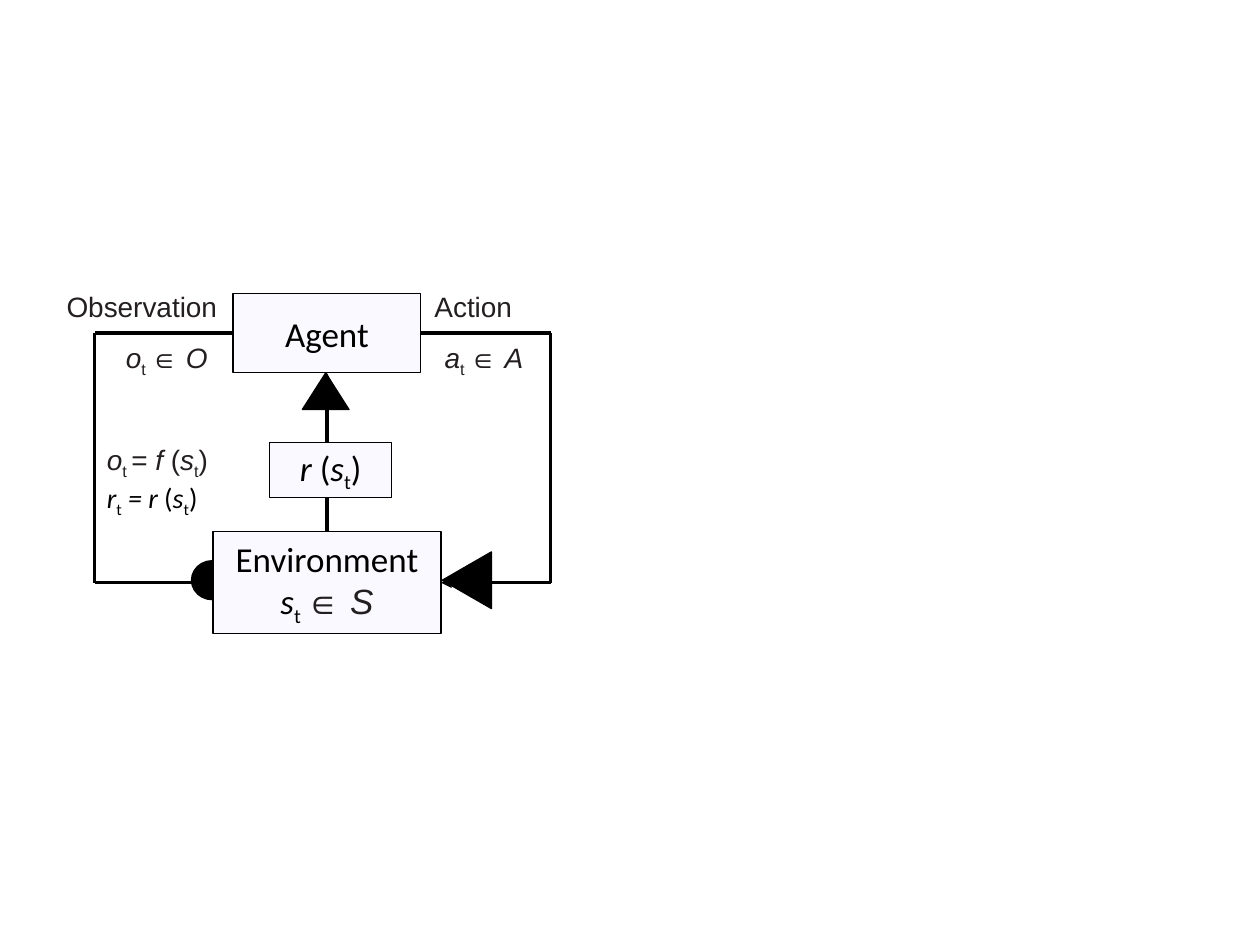
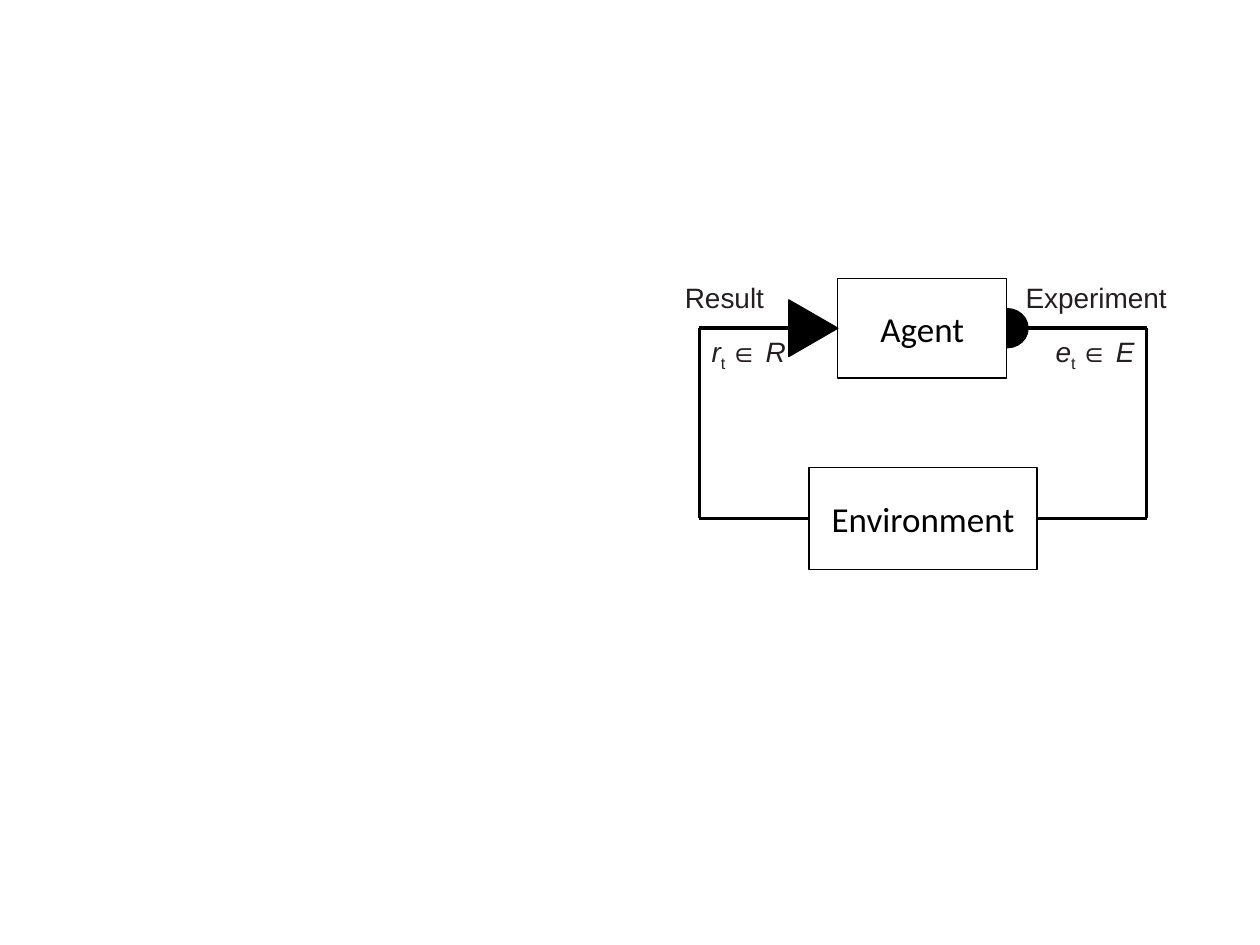
import pptx
import pptx.dml.color
import pptx.enum.dml
import pptx.enum.shapes
import pptx.enum.text
import pptx.oxml.ns
import pptx.util
from dataclasses import dataclass


@dataclass(frozen=True)
class Theme:
    black: str = "000000"
    ink: str = "231F20"
    pale: str = "F9F9FF"
    white: str = "FFFFFF"
    sans: str = "Arial"
    body: str = "Calibri"
    big: int = 20
    small: int = 16
    thin: float = 0.75
    thick: float = 2


THEME = Theme()
SHAPE = pptx.enum.shapes.MSO_SHAPE
ALIGN = pptx.enum.text.PP_ALIGN
TOP, LEFT, BASE, RIGHT = range(4)
INK = {"font": THEME.sans, "color": THEME.ink}
BODY = {"font": THEME.body, "color": THEME.black}
IT = {"italic": True}
SUB = {"sub": True}


def member(name, group):
    return [(name, IT), ("t ", SUB), ("∈ ", {}), (group, IT)]


STATE = [("(", {}), ("s", IT), ("t", SUB), (")", {})]
RULES = [
    [("o", IT), ("t ", SUB), ("= ", {}), ("f ", IT)] + STATE,
    [(text, {**BODY, **look}) for text, look in
     [("r", IT), ("t", SUB), (" = r ", IT)] + STATE],
]
SPACE = [("s", IT), ("t ", SUB), ("∈ ", INK), ("S", {**INK, **IT})]

SLIDES = [
    {
        "fill": THEME.pale,
        "boxes": {
            "agent": ((1.85, 2.33, 1.49, 0.63), [[("Agent", {})]]),
            "world": ((1.69, 4.22, 1.81, 0.81), [[("Environment", {})], SPACE]),
            "reward": ((2.14, 3.51, 0.97, 0.44), [[("r ", IT)] + STATE]),
        },
        "sides": (0.75, 4.37),
        "heads": {("world", LEFT): "oval", ("world", RIGHT): "triangle"},
        "direct": True,
        "disc": (1.52, 4.45),
        "labels": [
            ((0.43, 2.25, 1.41, 0.37), [[("Observation", {})]], ALIGN.LEFT),
            ((3.35, 2.25, 0.83, 0.37), [[("Action", {})]], ALIGN.LEFT),
            ((0.9, 2.65, 0.9, 0.37), [member("o", "O")], ALIGN.LEFT),
            ((3.43, 2.65, 0.87, 0.37), [member("a", "A")], ALIGN.LEFT),
            ((0.75, 3.46, 1.07, 0.91), RULES, ALIGN.LEFT),
        ],
        "tips": [((3.48, 4.41, 0.45, 0.39), 270), ((2.4, 2.96, 0.37, 0.29), 0)],
    },
    {
        "fill": THEME.white,
        "boxes": {
            "agent": ((6.65, 2.21, 1.34, 0.79), [[("Agent", {})]]),
            "world": ((6.42, 3.71, 1.81, 0.81), [[("Environment", {})]]),
        },
        "sides": (5.55, 9.1),
        "heads": {("agent", LEFT): "triangle", ("agent", RIGHT): "oval"},
        "direct": False,
        "disc": (7.83, 2.45),
        "labels": [
            ((8.03, 2.18, 1.34, 0.37), [[("Experiment", {})]], ALIGN.CENTER),
            ((5.33, 2.18, 0.84, 0.37), [[("Result", {})]], ALIGN.CENTER),
            ((5.55, 2.61, 0.84, 0.37), [member("r", "R")], ALIGN.LEFT),
            ((8.28, 2.61, 0.88, 0.37), [member("e", "E")], ALIGN.LEFT),
        ],
        "tips": [((6.23, 2.41, 0.45, 0.39), 90)],
    },
]


def inch(values):
    return [pptx.util.Inches(value) for value in values]


def rgb(code):
    return pptx.dml.color.RGBColor.from_string(code)


def write(frame, lines, size, font, color, align):
    for count, line in enumerate(lines):
        para = frame.add_paragraph() if count else frame.paragraphs[0]
        para.alignment = align
        for text, look in line:
            run = para.add_run()
            run.text = text
            run.font.size = pptx.util.Pt(size)
            run.font.name = look.get("font", font)
            run.font.color.rgb = rgb(look.get("color", color))
            run.font.italic = look.get("italic", False)
            if look.get("sub"):
                run._r.get_or_add_rPr().set("baseline", "-25000")


def draw(slide, kind, area, fill, turn=0):
    shape = slide.shapes.add_shape(kind, *inch(area))
    shape.shadow.inherit = False
    shape.rotation = turn
    shape.fill.solid()
    shape.fill.fore_color.rgb = rgb(fill)
    shape.line.color.rgb = rgb(THEME.black)
    shape.line.width = pptx.util.Pt(THEME.thin)
    return shape


def wire(slide, start, end, head=None):
    kind = pptx.enum.shapes.MSO_CONNECTOR.STRAIGHT
    line = slide.shapes.add_connector(kind, *inch(start + end))
    line.line.color.rgb = rgb(THEME.black)
    line.line.width = pptx.util.Pt(THEME.thick)
    props = line._element.spPr
    if head:
        stroke = props.find(pptx.oxml.ns.qn("a:ln"))
        mark = pptx.oxml.parse_xml(
            "<a:headEnd %s type='%s'/>" % (pptx.oxml.ns.nsdecls("a"), head))
        stroke.append(mark)
    props.append(pptx.oxml.parse_xml(
        "<a:effectLst %s/>" % pptx.oxml.ns.nsdecls("a")))
    return line


def port(area, side):
    left, top, wide, high = area
    return {
        TOP: (left + wide / 2, top),
        LEFT: (left, top + high / 2),
        BASE: (left + wide / 2, top + high),
        RIGHT: (left + wide, top + high / 2),
    }[side]


def build(slide, plan):
    areas = {name: area for name, (area, _) in plan["boxes"].items()}
    heads = plan["heads"]
    joins = []
    draw(slide, SHAPE.OVAL, plan["disc"] + (0.33, 0.31), THEME.black)

    for x, side in zip(plan["sides"], (LEFT, RIGHT)):
        turns = []
        for name in ("agent", "world"):
            start = port(areas[name], side)
            turn = (x, start[1])
            line = wire(slide, start, turn, heads.get((name, side)))
            joins.append((line.begin_connect, name, side))
            turns.append(turn)
        wire(slide, *turns)
    if plan["direct"]:
        line = wire(slide, port(areas["agent"], BASE),
                    port(areas["world"], TOP), "triangle")
        joins += [(line.begin_connect, "agent", BASE),
                  (line.end_connect, "world", TOP)]

    boxes = {}
    for name, (area, lines) in plan["boxes"].items():
        boxes[name] = draw(slide, SHAPE.RECTANGLE, area, plan["fill"])
        frame = boxes[name].text_frame
        frame.vertical_anchor = pptx.enum.text.MSO_ANCHOR.MIDDLE
        write(frame, lines, size=THEME.big, align=ALIGN.CENTER, **BODY)
    for join, name, side in joins:
        join(boxes[name], side)

    for area, lines, align in plan["labels"]:
        frame = slide.shapes.add_textbox(*inch(area)).text_frame
        frame.word_wrap = False
        frame.auto_size = pptx.enum.text.MSO_AUTO_SIZE.SHAPE_TO_FIT_TEXT
        write(frame, lines, size=THEME.small, align=align, **INK)
    for area, turn in plan["tips"]:
        draw(slide, SHAPE.ISOSCELES_TRIANGLE, area, THEME.black, turn)


def main():
    deck = pptx.Presentation()
    deck.slide_width, deck.slide_height = inch((10, 7.5))
    for plan in SLIDES:
        build(deck.slides.add_slide(deck.slide_layouts[6]), plan)
    deck.save("out.pptx")


if __name__ == "__main__":
    main()
